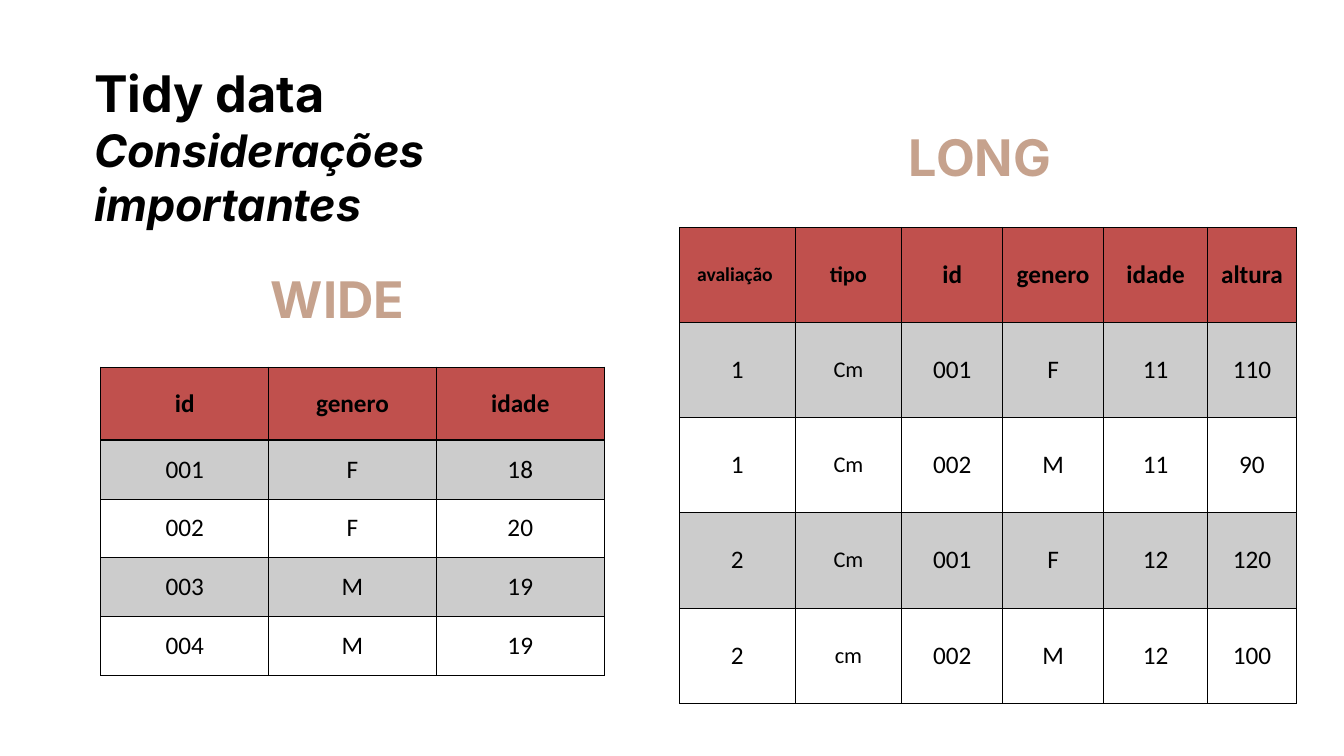
from lxml.etree import SubElement
from pptx import Presentation
from pptx.dml.color import RGBColor
from pptx.enum.text import MSO_ANCHOR as Anchor, MSO_AUTO_SIZE as AutoSize, PP_ALIGN as Align
from pptx.oxml import parse_xml
from pptx.oxml.ns import nsdecls, qn
from pptx.util import Pt

BLACK, RED, TAN = "000000", "C0504D", "C6A28D"

# Content
TITLE = [("Tidy data", 54, False), ("Considerações importantes", 48, True)]
LABELS = [("WIDE", 203.8, 283.7), ("LONG", 892.1, 131.8)]
TABLES = [
    {
        "left": 108, "top": 393.1,
        "widths": [179.8] * 3, "heights": [78.5] + [63] * 4,
        "sizes": {},
        "rows": [
            ("id", "genero", "idade"),
            ("001", "F", "18"),
            ("002", "F", "20"),
            ("003", "M", "19"),
            ("004", "M", "19"),
        ],
    },
    {
        "left": 728, "top": 243.4,
        "widths": [123.8, 114.5, 108, 108, 111.6, 95], "heights": [102] * 5,
        "sizes": {"avaliação ": 21, "tipo": 24, "Cm": 24, "cm": 24},
        "rows": [
            ("avaliação ", "tipo", "id", "genero", "idade", "altura"),
            ("1", "Cm", "001", "F", "11", "110"),
            ("1", "Cm", "002", "M", "11", "90"),
            ("2", "Cm", "001", "F", "12", "120"),
            ("2", "cm", "002", "M", "12", "100"),
        ],
    },
]


def color(value):
    return RGBColor.from_string(value)


def write(paragraph, text, *, size, font="Inter", fill=BLACK, bold=True, italic=False,
          align=Align.CENTER):
    paragraph.alignment = align
    paragraph.line_spacing = 1.0
    run = paragraph.add_run()
    run.text = text
    run.font.name, run.font.size = font, Pt(size)
    run.font.bold, run.font.italic = bold, italic
    run.font.color.rgb = color(fill)


def fill_cell(cell, row):
    """Red header, then alternating 20 % black and clear rows."""
    if row and row % 2 == 0:
        cell.fill.background()
        return
    cell.fill.solid()
    cell.fill.fore_color.rgb = color(BLACK if row else RED)
    if row:
        properties = cell._tc.get_or_add_tcPr()
        SubElement(properties.find(".//" + qn("a:srgbClr")), qn("a:alpha"), val="20000")


def border_cell(cell, row):
    """Thin lines all round, with a heavier one under the header."""
    widths = {"L": 1, "R": 1, "T": 2 if row == 1 else 1, "B": 2 if row == 0 else 1}
    properties = cell._tc.get_or_add_tcPr()
    for index, (side, width) in enumerate(widths.items()):
        properties.insert(index, parse_xml(
            f'<a:ln{side} {nsdecls("a")} w="{Pt(width)}"><a:solidFill>'
            f'<a:srgbClr val="{BLACK}"/></a:solidFill></a:ln{side}>'))


def add_data_table(slide, data):
    rows, widths, heights = data["rows"], data["widths"], data["heights"]
    table = slide.shapes.add_table(
        len(rows), len(widths), Pt(data["left"]), Pt(data["top"]),
        Pt(sum(widths)), Pt(sum(heights))).table
    table.horz_banding = False
    for column, width in zip(table.columns, widths):
        column.width = Pt(width)
    for row, (height, texts) in enumerate(zip(heights, rows)):
        table.rows[row].height = Pt(height)
        for column, text in enumerate(texts):
            cell = table.cell(row, column)
            cell.vertical_anchor = Anchor.MIDDLE
            cell.margin_left = cell.margin_right = Pt(10.8)
            cell.margin_top = cell.margin_bottom = Pt(5.4)
            write(cell.text_frame.paragraphs[0], text, font="Calibri",
                  size=data["sizes"].get(text, 27), bold=row == 0)
            fill_cell(cell, row)
            border_cell(cell, row)


presentation = Presentation()
presentation.slide_width, presentation.slide_height = Pt(1440), Pt(810)
slide = presentation.slides.add_slide(presentation.slide_layouts[5])

# Title
title = slide.shapes.title
title.left, title.top, title.width, title.height = Pt(93.6), Pt(63.4), Pt(634.3), Pt(131)
frame = title.text_frame
frame.word_wrap = True
frame.auto_size = AutoSize.NONE
frame.vertical_anchor = Anchor.TOP
for index, (text, size, italic) in enumerate(TITLE):
    paragraph = frame.add_paragraph() if index else frame.paragraphs[0]
    write(paragraph, text, size=size, italic=italic, align=Align.LEFT)

# Labels and their tables
for (text, left, top), data in zip(LABELS, TABLES):
    label = slide.shapes.add_textbox(Pt(left), Pt(top), Pt(316), Pt(72.7))
    label.text_frame.word_wrap = True
    write(label.text_frame.paragraphs[0], text, size=54, fill=TAN)
    add_data_table(slide, data)

presentation.save("out.pptx")
